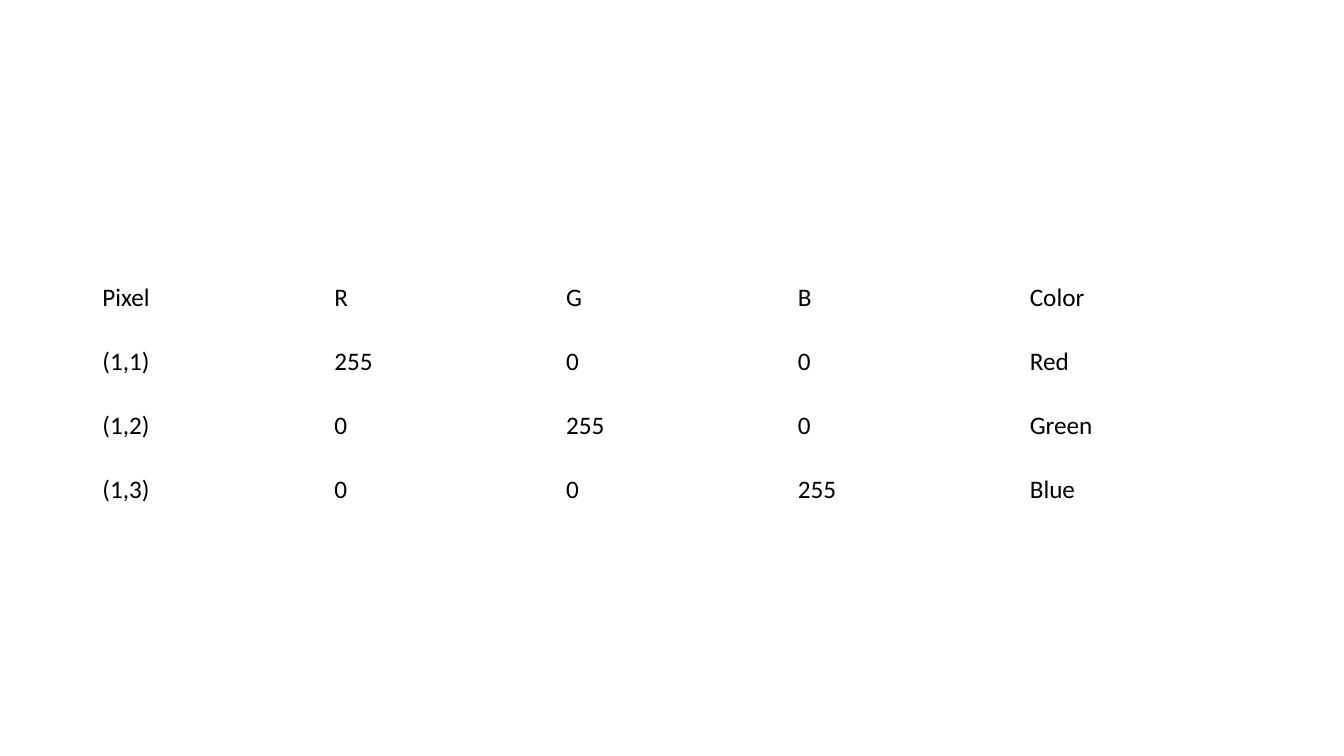
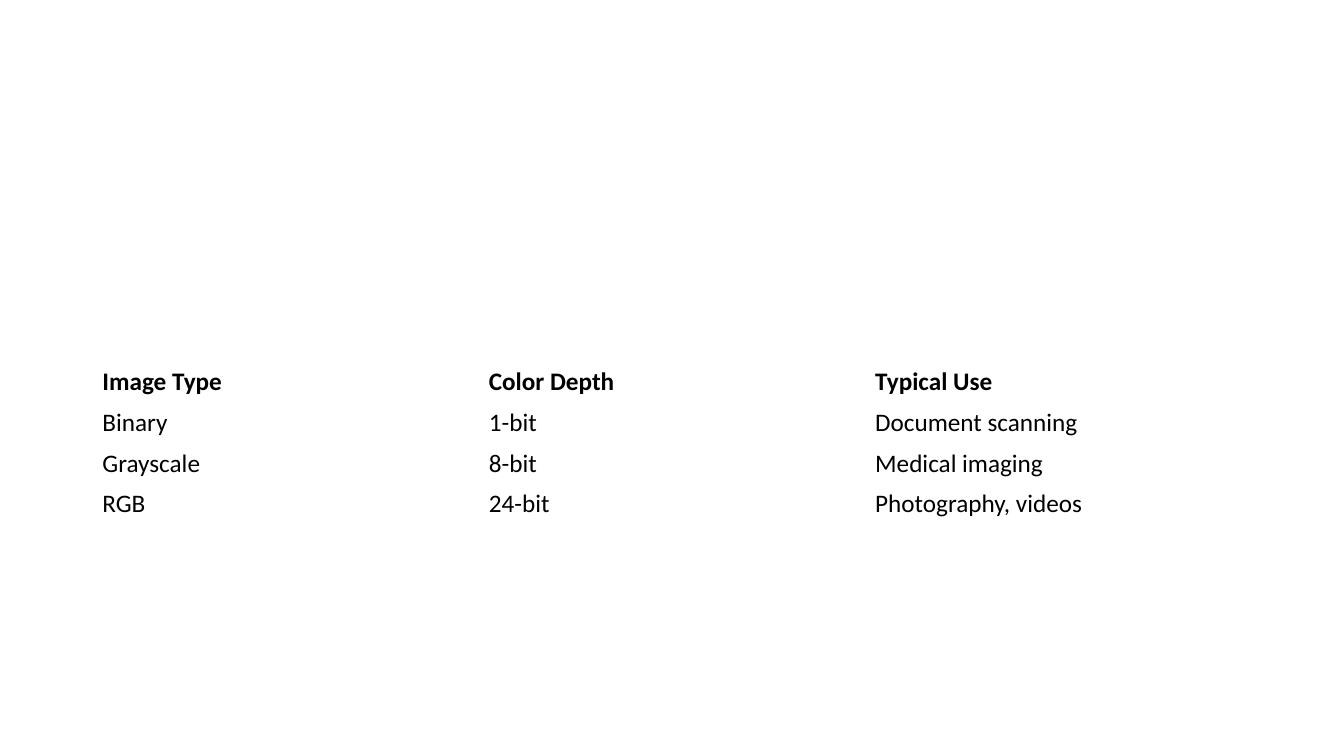
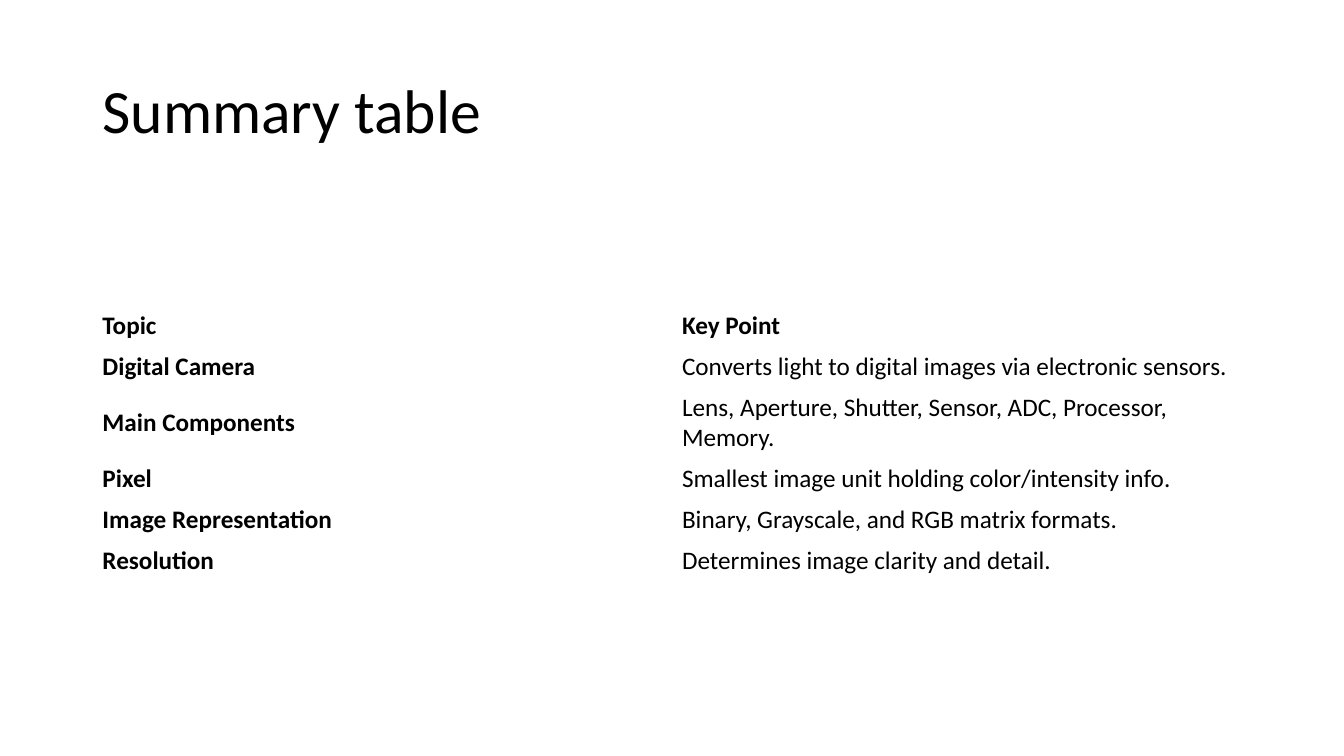
"""Build three slides of plain tables about digital images."""
from pptx import Presentation
from pptx.dml.color import RGBColor
from pptx.enum.text import MSO_ANCHOR as Anchor, PP_ALIGN as Align
from pptx.util import Pt

COLORS = {"text": "000000"}
FONT = "Calibri"
LEFT, WIDTH = 66, 828
TITLE_ONLY, BLANK = 5, 6
ONE_LINE, TWO_LINES = 29.2, 51.2

PIXELS = [
    ("Pixel", "R", "G", "B", "Color"),
    ("(1,1)", "255", "0", "0", "Red"),
    ("(1,2)", "0", "255", "0", "Green"),
    ("(1,3)", "0", "0", "255", "Blue"),
]
IMAGE_TYPES = [
    ("Image Type", "Color Depth", "Typical Use"),
    ("Binary", "1-bit", "Document scanning"),
    ("Grayscale", "8-bit", "Medical imaging"),
    ("RGB", "24-bit", "Photography, videos"),
]
SUMMARY = [
    ("Topic", "Key Point"),
    ("Digital Camera", "Converts light to digital images via electronic sensors."),
    ("Main Components", "Lens, Aperture, Shutter, Sensor, ADC, Processor, Memory."),
    ("Pixel", "Smallest image unit holding color/intensity info."),
    ("Image Representation", "Binary, Grayscale, and RGB matrix formats."),
    ("Resolution", "Determines image clarity and detail."),
]


def style_text(para, size, bold=False):
    """Format every run of a paragraph in the deck's font."""
    para.alignment = Align.LEFT
    for span in para.runs:
        span.font.name = FONT
        span.font.size = Pt(size)
        span.font.bold = bold
        span.font.color.rgb = RGBColor.from_string(COLORS["text"])


def add_page(deck, layout):
    """Add a slide with the given layout number."""
    return deck.slides.add_slide(deck.slide_layouts[layout])


def set_title(page, text):
    """Place and format the slide title."""
    box = page.shapes.title
    box.left, box.top, box.width, box.height = Pt(LEFT), Pt(28.8), Pt(WIDTH), Pt(104.4)
    box.text_frame.text = text
    box.text_frame.vertical_anchor = Anchor.MIDDLE
    para = box.text_frame.paragraphs[0]
    para.line_spacing = 0.9
    style_text(para, 44)


def add_plain_table(page, top, records, heights, bold_row=False, bold_column=False):
    """Add an unfilled table with equal columns and the given row heights."""
    table = page.shapes.add_table(
        len(records), len(records[0]), Pt(LEFT), Pt(top), Pt(WIDTH), Pt(sum(heights))
    ).table
    table.first_row = table.horz_banding = False
    for row_index, (record, height) in enumerate(zip(records, heights)):
        table.rows[row_index].height = Pt(height)
        for column_index, text in enumerate(record):
            cell = table.cell(row_index, column_index)
            cell.fill.background()
            cell.vertical_anchor = Anchor.MIDDLE
            cell.text_frame.text = text
            bold = (bold_row and row_index == 0) or (bold_column and column_index == 0)
            style_text(cell.text_frame.paragraphs[0], 18, bold)


def main():
    """Build and save the deck."""
    deck = Presentation()
    deck.slide_width, deck.slide_height = Pt(960), Pt(540)

    add_plain_table(add_page(deck, BLANK), 190, PIXELS, [45.7] * 4)

    add_plain_table(add_page(deck, BLANK), 258, IMAGE_TYPES, [ONE_LINE] * 4, bold_row=True)

    page = add_page(deck, TITLE_ONLY)
    set_title(page, "Summary table")
    heights = [ONE_LINE] * 2 + [TWO_LINES] + [ONE_LINE] * 3
    add_plain_table(page, 218, SUMMARY, heights, bold_row=True, bold_column=True)

    deck.save("out.pptx")


if __name__ == "__main__":
    main()
